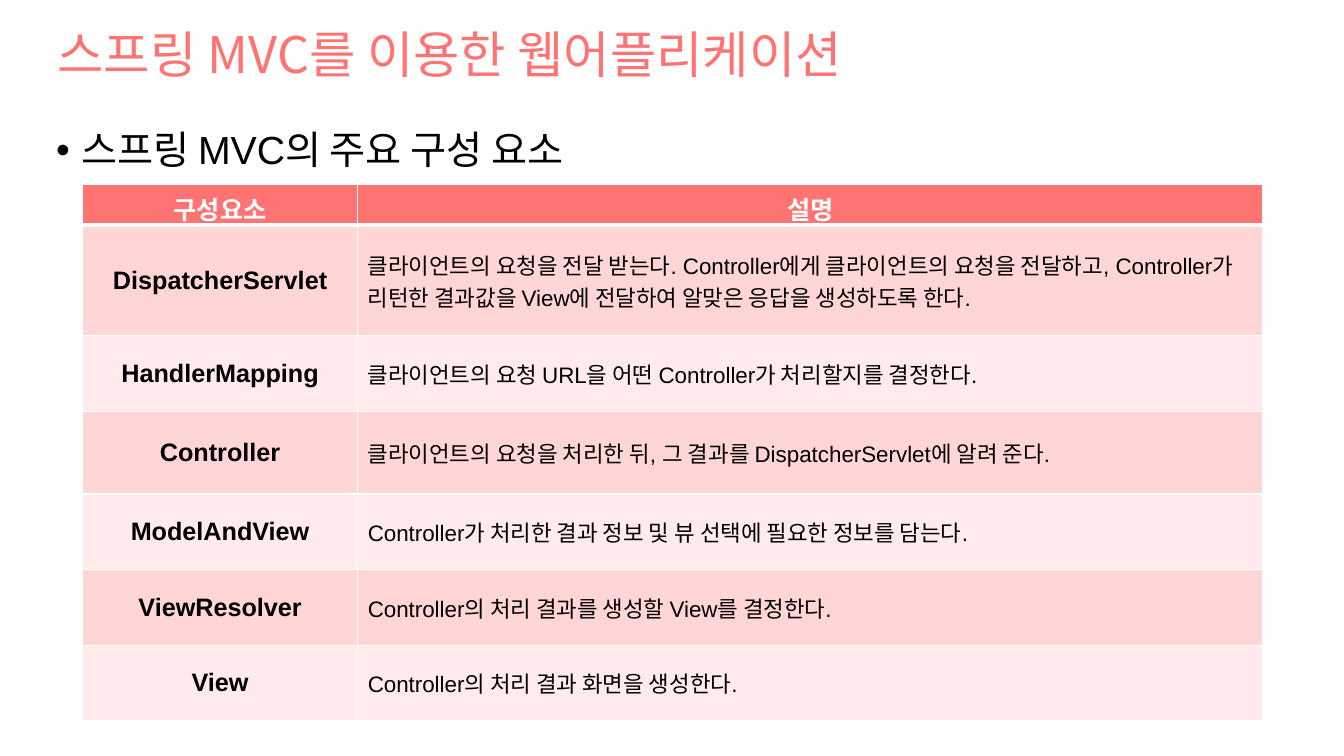
from dataclasses import dataclass
from lxml.etree import SubElement
from pptx import Presentation
from pptx.dml.color import RGBColor as Color
from pptx.enum.text import MSO_ANCHOR as Anchor, PP_ALIGN as Align
from pptx.oxml.ns import qn
from pptx.util import Pt

TITLE = "스프링 MVC를 이용한 웹어플리케이션"
SUBTITLE = "스프링 MVC의 주요 구성 요소"
HEADER = ("구성요소", "설명")
COMPONENTS = [
    ("DispatcherServlet",
     "클라이언트의 요청을 전달 받는다. Controller에게 클라이언트의 요청을 전달하고, "
     "Controller가 리턴한 결과값을 View에 전달하여 알맞은 응답을 생성하도록 한다."),
    ("HandlerMapping", "클라이언트의 요청 URL을 어떤 Controller가 처리할지를 결정한다."),
    ("Controller", "클라이언트의 요청을 처리한 뒤, 그 결과를 DispatcherServlet에 알려 준다."),
    ("ModelAndView", "Controller가 처리한 결과 정보 및 뷰 선택에 필요한 정보를 담는다."),
    ("ViewResolver", "Controller의 처리 결과를 생성할 View를 결정한다."),
    ("View", "Controller의 처리 결과 화면을 생성한다."),
]
COLUMN_WIDTHS = (196.5, 646.5)
ROW_HEIGHTS = (28, 79, 54, 59, 54, 54, 54)
TABLE_LEFT, TABLE_TOP = 59, 132


@dataclass(frozen=True)
class Theme:
    accent: str = "FF7473"
    bands: tuple = ("FFD6D5", "FFEBEB")
    white: str = "FFFFFF"
    black: str = "000000"
    latin: str = "Arial"
    korean: str = "Noto Sans CJK KR"
    title_size: int = 36
    subtitle_size: int = 28
    name_size: int = 18
    detail_size: int = 16
    thin: int = 1
    thick: int = 3


THEME = Theme()


def add_span(para, text, size, color, font=THEME.latin, bold=False):
    span = para.add_run()
    span.text = text
    span.font.size = Pt(size)
    span.font.bold = bold
    span.font.name = font
    span.font.color.rgb = Color.from_string(color)
    SubElement(span.font._element, qn("a:ea"), typeface=THEME.korean)


def add_line(page, left, top, width, height, anchor):
    """Add a wrapping text box and return its single paragraph."""
    box = page.shapes.add_textbox(Pt(left), Pt(top), Pt(width), Pt(height))
    box.text_frame.word_wrap = True
    box.text_frame.vertical_anchor = anchor
    para = box.text_frame.paragraphs[0]
    para.line_spacing = 0.9
    return para


def add_bullet(para, indent):
    properties = para._p.get_or_add_pPr()
    properties.set("marL", str(Pt(indent)))
    properties.set("indent", str(-Pt(indent)))
    SubElement(properties, qn("a:buFont"), typeface=THEME.latin)
    SubElement(properties, qn("a:buChar"), char="•")


def set_borders(cell, top, bottom):
    properties = cell._tc.get_or_add_tcPr()
    widths = {"L": THEME.thin, "R": THEME.thin, "T": top, "B": bottom}
    for side, width in widths.items():
        line = SubElement(properties, qn(f"a:ln{side}"), w=str(Pt(width)))
        fill = SubElement(line, qn("a:solidFill"))
        SubElement(fill, qn("a:srgbClr"), val=THEME.white)


def fill_cell(cell, text, row, column):
    is_header, is_name = row == 0, column == 0
    set_borders(cell,
                top=THEME.thick if row == 1 else THEME.thin,
                bottom=THEME.thick if is_header else THEME.thin)
    cell.fill.solid()
    cell.fill.fore_color.rgb = Color.from_string(
        THEME.accent if is_header else THEME.bands[(row - 1) % 2])
    cell.vertical_anchor = Anchor.MIDDLE
    para = cell.text_frame.paragraphs[0]
    strong = is_header or is_name
    para.alignment = Align.CENTER if strong else Align.LEFT
    add_span(para, text, THEME.name_size if strong else THEME.detail_size,
             THEME.white if is_header else THEME.black, bold=strong)


def add_component_table(page):
    rows = [HEADER, *COMPONENTS]
    table = page.shapes.add_table(
        len(rows), len(HEADER), Pt(TABLE_LEFT), Pt(TABLE_TOP),
        Pt(sum(COLUMN_WIDTHS)), Pt(sum(ROW_HEIGHTS))).table
    for column, width in zip(table.columns, COLUMN_WIDTHS):
        column.width = Pt(width)
    for row, height in zip(table.rows, ROW_HEIGHTS):
        row.height = Pt(height)
    for r, texts in enumerate(rows):
        for c, text in enumerate(texts):
            fill_cell(table.cell(r, c), text, r, c)


def main():
    deck = Presentation()
    deck.slide_width, deck.slide_height = Pt(960), Pt(540)
    page = deck.slides.add_slide(deck.slide_layouts[6])

    title = add_line(page, 34, 13.5, 892, 54, Anchor.MIDDLE)
    add_span(title, TITLE, THEME.title_size, THEME.accent, THEME.korean)

    subtitle = add_line(page, 33, 90, 894, 42, Anchor.TOP)
    subtitle.space_before = Pt(10)
    add_bullet(subtitle, 18)
    add_span(subtitle, SUBTITLE, THEME.subtitle_size, THEME.black)

    add_component_table(page)
    deck.save("out.pptx")


if __name__ == "__main__":
    main()
